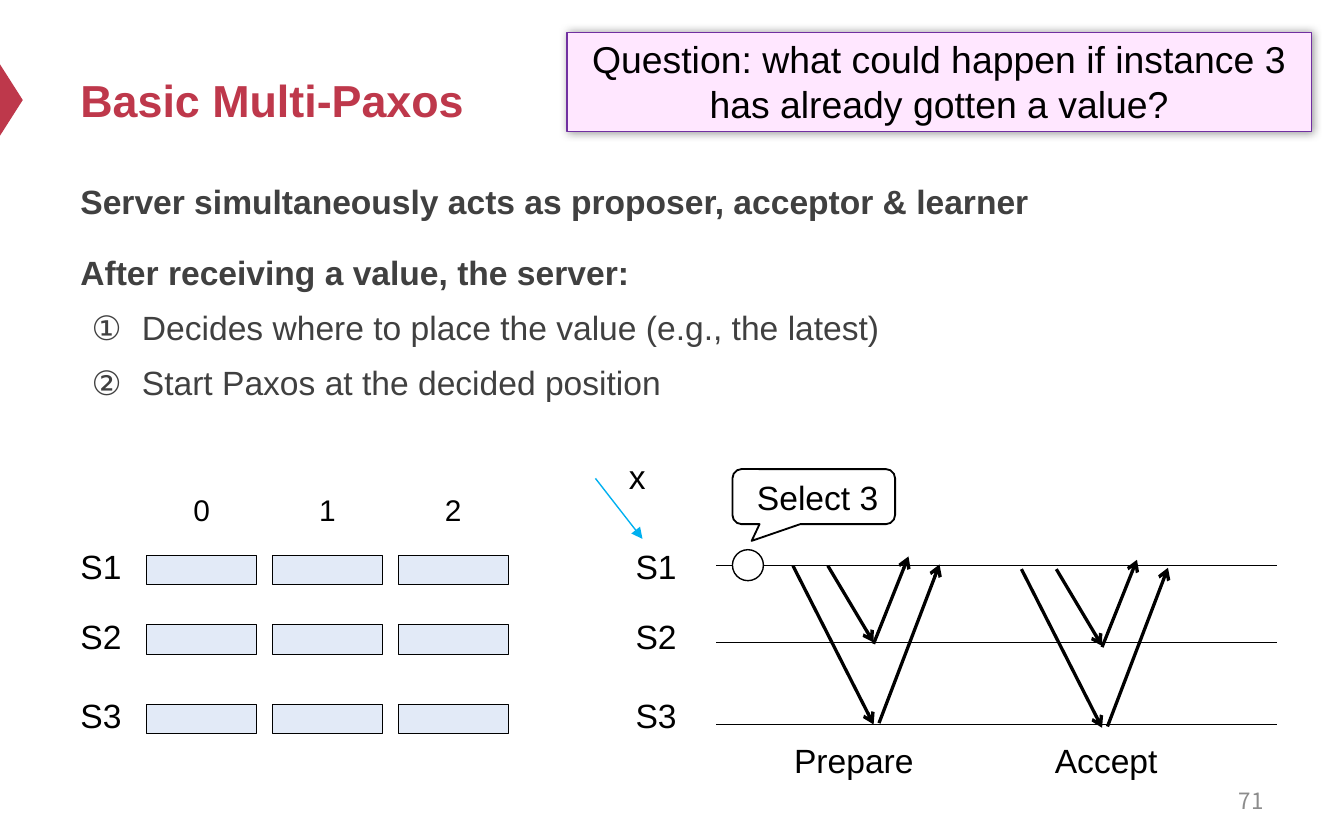
from dataclasses import dataclass

from lxml.etree import SubElement
from pptx import Presentation
from pptx.dml.color import RGBColor
from pptx.enum.shapes import MSO_CONNECTOR, MSO_SHAPE
from pptx.enum.text import MSO_ANCHOR, PP_ALIGN
from pptx.oxml.ns import qn
from pptx.util import Pt


@dataclass(frozen=True)
class Theme:
    font: str = "Arial"
    number_font: str = "Noto Sans CJK SC"
    red: str = "BE384B"
    body: str = "404040"
    black: str = "000000"
    white: str = "FFFFFF"
    gray: str = "8C8C8C"
    cell: str = "E2EAF7"
    blue: str = "00B0F0"
    pink: str = "FFE7FF"
    purple: str = "7030A0"
    title_size: float = 24
    question_size: float = 20
    text_size: float = 18
    index_size: float = 16
    number_size: float = 12


T = Theme()

prs = Presentation()
prs.slide_width, prs.slide_height = Pt(720), Pt(450)
s = prs.slides.add_slide(prs.slide_layouts[6])


def add_box(x, y, w, h, text="", size=T.text_size, color=T.black, bold=False,
            align=PP_ALIGN.LEFT, anchor=MSO_ANCHOR.TOP, font=T.font,
            shape=None, fill=None, line=None, width=0.75):
    """Add a text box, or a preset shape when one is named."""
    box = tuple(Pt(v) for v in (x, y, w, h))
    if shape is None:
        sp = s.shapes.add_textbox(*box)
    else:
        sp = s.shapes.add_shape(shape, *box)
        sp.shadow.inherit = False
        if fill:
            sp.fill.solid()
            sp.fill.fore_color.rgb = RGBColor.from_string(fill)
        else:
            sp.fill.background()
        if line:
            sp.line.color.rgb = RGBColor.from_string(line)
            sp.line.width = Pt(width)
        else:
            sp.line.fill.background()
    tf = sp.text_frame
    tf.word_wrap = True
    tf.vertical_anchor = anchor
    tf.text = text
    for p in tf.paragraphs:
        p.alignment = align
        for r in p.runs:
            r.font.name, r.font.size, r.font.bold = font, Pt(size), bold
            r.font.color.rgb = RGBColor.from_string(color)
    return sp


def add_line(x1, y1, x2, y2, color=T.black, width=0.75, head=None):
    """Add a straight line, with an arrowhead at its end when one is named."""
    c = s.shapes.add_connector(MSO_CONNECTOR.STRAIGHT, Pt(x1), Pt(y1), Pt(x2), Pt(y2))
    c.line.color.rgb = RGBColor.from_string(color)
    c.line.width = Pt(width)
    if head:
        SubElement(c.line._get_or_add_ln(), qn("a:tailEnd"), type=head)
    SubElement(c._element.spPr, qn("a:effectLst"))


# Edge marker and title
sp = add_box(-13, 47.5, 38.2, 12.2, shape=MSO_SHAPE.ISOSCELES_TRIANGLE, fill=T.red)
sp.rotation = 90
add_box(36, 18, 648, 70.6, "Basic Multi-Paxos", T.title_size, T.red, True,
        anchor=MSO_ANCHOR.MIDDLE)

# Body: two statements, then numbered steps
statements = ["Server simultaneously acts as proposer, acceptor & learner",
              "After receiving a value, the server:"]
steps = ["Decides where to place the value (e.g., the latest)",
         "Start Paxos at the decided position"]
sp = add_box(36, 89.3, 648, 136, "\n".join(statements + steps), color=T.body, bold=True)
for i, p in enumerate(sp.text_frame.paragraphs):
    if i >= len(statements):
        pPr = p._p.get_or_add_pPr()
        pPr.set("marL", str(Pt(33)))
        pPr.set("indent", str(Pt(-27)))
        SubElement(pPr, qn("a:buAutoNum"), type="circleNumDbPlain")
        p.runs[0].font.bold = False
        p.space_before = Pt(3.6)
    elif i > 0:
        p.space_before = Pt(12)
    p.line_spacing = 1.2

# Log of each server: row labels, cells and column indexes
servers = ["S1", "S2", "S3"]
row_tops = [297.4, 334.8, 377.3]
columns = [78.5 + 67.4 * i for i in range(3)]
for name, y in zip(servers, row_tops):
    add_box(36, y - 8.6, 49.7, 28.8, name)
    for x in columns:
        add_box(x, y, 59, 15.8, shape=MSO_SHAPE.RECTANGLE,
                fill=T.cell, line=T.black, width=0.5)
for i, x in enumerate(columns):
    add_box(x, 260, 59, 26.6, str(i), T.index_size, align=PP_ALIGN.CENTER)

# Timelines
for name, top, y in zip(servers, row_tops, [303.1, 344.2, 388.1]):
    add_box(333.4, top - 8.6, 49.7, 28.8, name)
    add_line(383.8, y, 684, y)

# Incoming value and the chosen position
add_line(319, 256.3, 344.2, 288.7, T.blue, head="triangle")
add_box(329.8, 240.5, 28.8, 28.8, "x")
add_box(392.4, 294.5, 16.6, 16.6, shape=MSO_SHAPE.OVAL, fill=T.white, line=T.black)
sp = add_box(392.4, 251.3, 87.1, 29.5, "Select 3", anchor=MSO_ANCHOR.MIDDLE,
             shape=MSO_SHAPE.ROUNDED_RECTANGULAR_CALLOUT, line=T.black, width=1)
for i, value in enumerate([-0.382, 0.804, 0.167]):
    sp.adjustments[i] = value
sp.text_frame.margin_left, sp.text_frame.margin_right = Pt(11.7), 0

# Message rounds: the same four arrows, shifted for the second phase
messages = [(424.8, 303.1, 468, 388.1), (443.5, 303.1, 468, 344.2),
            (468, 344.9, 486.7, 298.1), (470.9, 387.4, 503.3, 302.4)]
for phase, label_x, dx, dy in [("Prepare", 418.3, 0, 0), ("Accept", 558, 122.4, 1.8)]:
    for x1, y1, x2, y2 in messages:
        add_line(x1 + dx, y1 + dy, x2 + dx, y2 + dy, width=1.75, head="arrow")
    add_box(label_x, 393.1, 82.8, 28.8, phase)

# Question banner with a soft shadow
sp = add_box(303.8, 17.3, 398.9, 53.3,
             "Question: what could happen if instance 3 has already gotten a value?",
             T.question_size, align=PP_ALIGN.CENTER, anchor=MSO_ANCHOR.TOP,
             shape=MSO_SHAPE.RECTANGLE, fill=T.pink, line=T.purple)
sp.text_frame.margin_top = sp.text_frame.margin_bottom = Pt(2.2)
effects = sp._element.spPr.find(qn("a:effectLst"))
shadow = SubElement(effects, qn("a:outerShdw"), blurRad=str(Pt(5)), dist="0", dir="0")
shade = SubElement(shadow, qn("a:srgbClr"), val=T.black)
SubElement(shade, qn("a:alpha"), val="40000")

# Page number
add_box(516.2, 416.9, 167.8, 23.8, "71", T.number_size, T.gray, align=PP_ALIGN.RIGHT,
        anchor=MSO_ANCHOR.MIDDLE, font=T.number_font)

prs.save("out.pptx")
